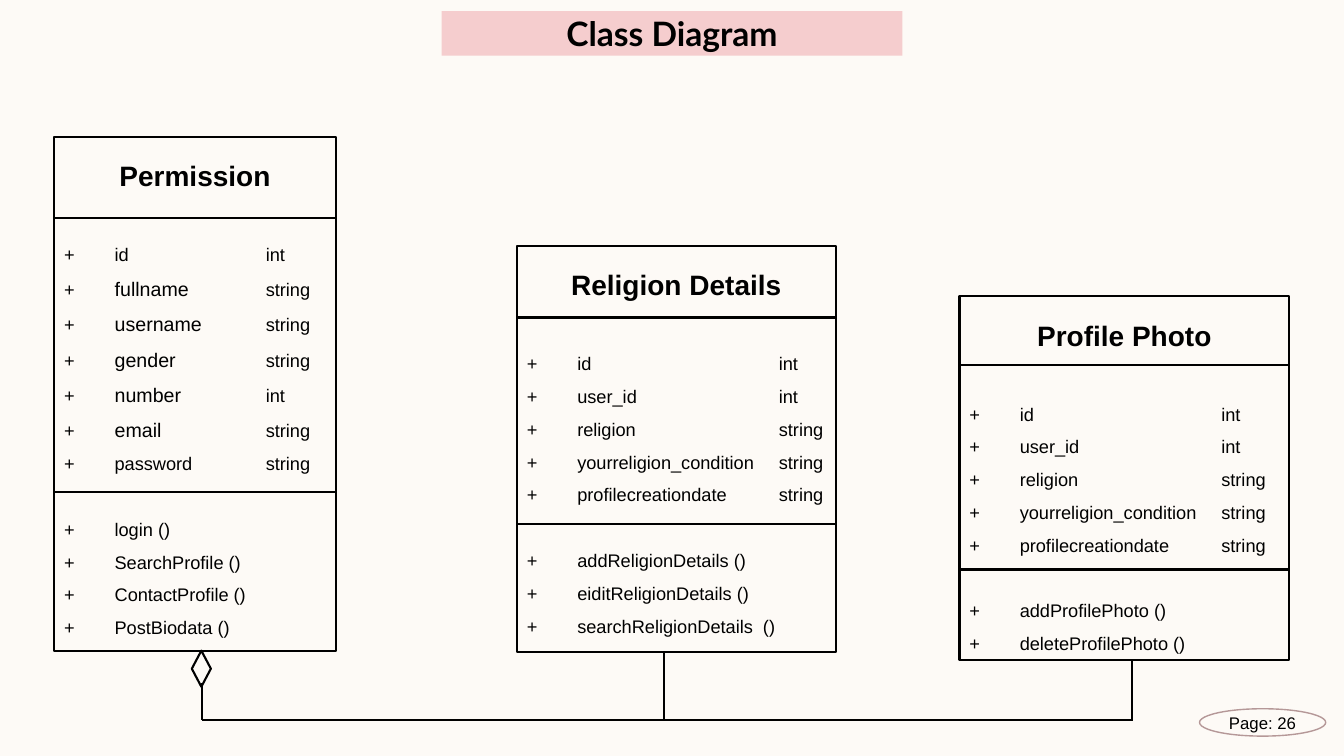
from lxml import etree
from pptx import Presentation
from pptx import util as u
from pptx.dml import color
from pptx.enum import shapes, text
from pptx.oxml import ns

BLACK = "000000"


def style(shape, line=None, fill=None, width=1.5):
    if line:
        shape.line.color.rgb = color.RGBColor.from_string(line)
        shape.line.width = u.Pt(width)
    else:
        shape.line.fill.background()
    if fill:
        shape.fill.solid()
        shape.fill.fore_color.rgb = color.RGBColor.from_string(fill)
    elif hasattr(shape, "fill"):
        shape.fill.background()
    etree.SubElement(shape._element.spPr, ns.qn("a:effectLst"))


def write(paragraph, content, size=13, bold=False, font="Arial",
          align=text.PP_ALIGN.LEFT, spacing=1.0, before=0):
    paragraph.alignment = align
    paragraph.line_spacing = spacing
    paragraph.space_before = u.Pt(before)
    run = paragraph.add_run()
    run.text = content
    run.font.size = u.Pt(size)
    run.font.bold = bold
    run.font.name = font
    run.font.color.rgb = color.RGBColor.from_string(BLACK)


presentation = Presentation()
presentation.slide_width = u.Cm(33.87)
presentation.slide_height = u.Cm(19.05)
slide = presentation.slides.add_slide(presentation.slide_layouts[5])
slide.background.fill.solid()
slide.background.fill.fore_color.rgb = color.RGBColor.from_string("FDFAF6")

title = slide.shapes.title
title.left, title.top = u.Cm(11.13), u.Cm(0.28)
title.width, title.height = u.Cm(11.61), u.Cm(1.12)
style(title, fill="F5CDCE")
title.text_frame.auto_size = text.MSO_AUTO_SIZE.NONE
title.text_frame.vertical_anchor = text.MSO_ANCHOR.MIDDLE
write(title.text_frame.paragraphs[0], "Class Diagram", size=24, bold=True,
      font="Lato", align=text.PP_ALIGN.CENTER)

shared_fields = [
    ("id", "int", 13),
    ("user_id", "int", 13),
    ("religion", "string", 13),
    ("yourreligion_condition", "string", 13),
    ("profilecreationdate", "string", 13),
]
permission_fields = [
    ("id", "int", 13),
    ("fullname", "string", 14),
    ("username", "string", 14),
    ("gender", "string", 14),
    ("number", "int", 14),
    ("email", "string", 14),
    ("password", "string", 13),
]
classes = [
    ("Religion Details", (13.03, 6.2, 8.03, 10.23), (8.0, 13.21), 6.35, shared_fields,
     ["addReligionDetails ()", "eiditReligionDetails ()", "searchReligionDetails  ()"]),
    ("Profile Photo", (24.18, 7.47, 8.31, 9.17), (9.19, 14.35), 6.35, shared_fields,
     ["addProfilePhoto ()", "deleteProfilePhoto ()"]),
    ("Permission", (1.37, 3.45, 7.09, 12.95), (5.49, 12.4), 5.08, permission_fields,
     ["login ()", "SearchProfile ()", "ContactProfile ()", "PostBiodata ()"]),
]
lines = [
    (5.08, 17.22, 5.08, 18.14),
    (16.74, 16.41, 16.74, 18.14),
    (28.52, 16.64, 28.52, 18.18),
    (28.52, 18.14, 5.08, 18.14),
]

for name, (left, top, width, height), dividers, type_tab, fields, methods in classes:
    box = slide.shapes.add_shape(shapes.MSO_SHAPE.RECTANGLE, u.Cm(left), u.Cm(top),
                                 u.Cm(width), u.Cm(height))
    style(box, line=BLACK)
    frame = box.text_frame
    frame.word_wrap = True
    frame.vertical_anchor = text.MSO_ANCHOR.TOP
    write(frame.paragraphs[0], name, size=20, bold=True,
          align=text.PP_ALIGN.CENTER, spacing=1.5)

    members = fields + [(method, "", 13) for method in methods]
    gaps = {0: 28.8, len(fields): 23.4}
    for index, (member, kind, size) in enumerate(members):
        paragraph = frame.add_paragraph()
        row = {"spacing": 1.5, "before": gaps.get(index, 0)}
        write(paragraph, "+\t", **row)
        write(paragraph, member, size=size, **row)
        if kind:
            write(paragraph, "\t" + kind, **row)
        tabs = etree.SubElement(paragraph._p.get_or_add_pPr(), ns.qn("a:tabLst"))
        for position in (1.27, type_tab):
            etree.SubElement(tabs, ns.qn("a:tab"), pos=str(u.Cm(position)), algn="l")

    lines += [(left, divider, left + width, divider) for divider in dividers]

for start_x, start_y, end_x, end_y in lines:
    connector = slide.shapes.add_connector(
        shapes.MSO_CONNECTOR.STRAIGHT,
        u.Cm(start_x), u.Cm(start_y), u.Cm(end_x), u.Cm(end_y))
    style(connector, line=BLACK)

diamond = slide.shapes.add_shape(shapes.MSO_SHAPE.FLOWCHART_DECISION, u.Cm(4.62),
                                 u.Cm(16.61), u.Cm(0.91), u.Cm(0.48))
diamond.rotation = 270
style(diamond, line=BLACK)

page = slide.shapes.add_shape(shapes.MSO_SHAPE.OVAL, u.Cm(30.23), u.Cm(17.86),
                              u.Cm(3.18), u.Cm(0.69))
style(page, line="B59898", width=1)
frame = page.text_frame
frame.margin_left = frame.margin_right = frame.margin_top = frame.margin_bottom = 0
frame.vertical_anchor = text.MSO_ANCHOR.MIDDLE
write(frame.paragraphs[0], "Page: 26", size=12, align=text.PP_ALIGN.CENTER)

presentation.save("out.pptx")
